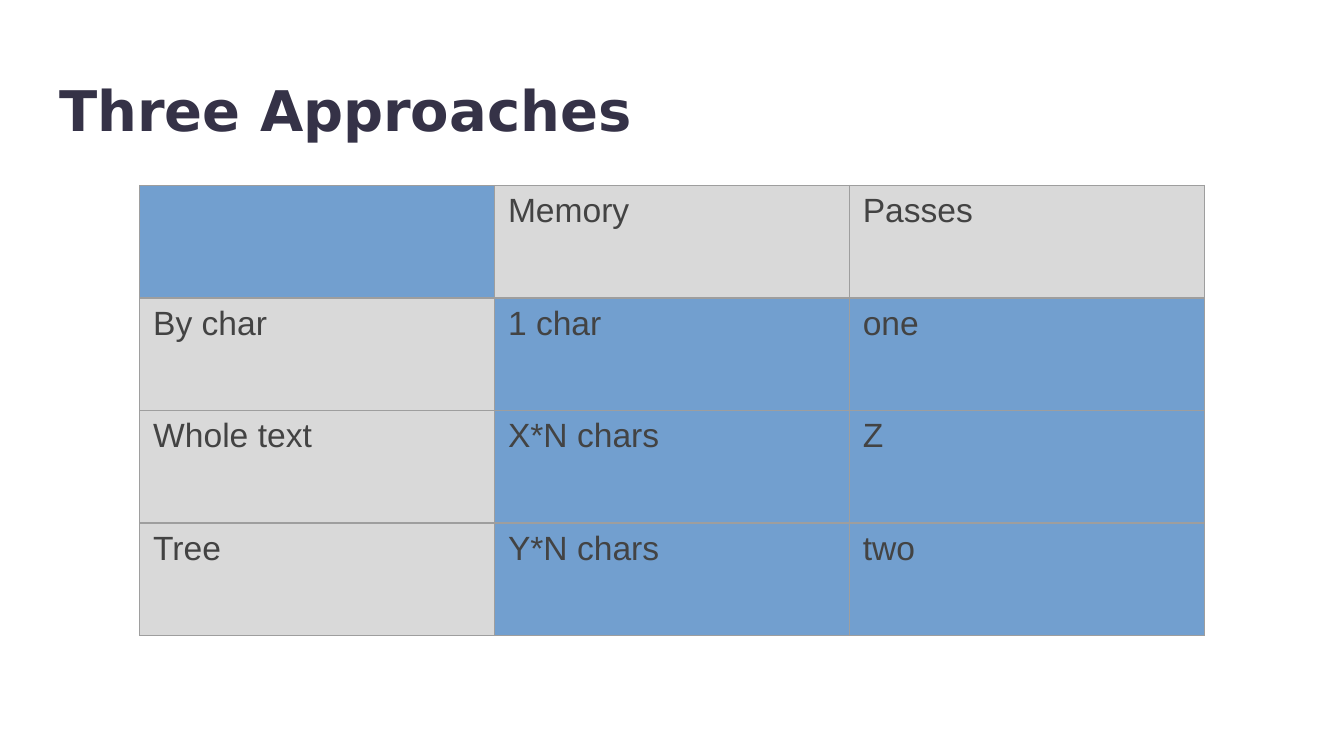
from dataclasses import dataclass

from lxml.etree import SubElement
from pptx import Presentation
from pptx.dml.color import RGBColor
from pptx.enum.text import MSO_ANCHOR, MSO_AUTO_SIZE, PP_ALIGN
from pptx.oxml.ns import qn
from pptx.util import Inches, Pt


@dataclass(frozen=True)
class Theme:
    """Colours, fonts and type sizes of the slide."""
    title_color: str = "353247"
    text_color: str = "434343"
    heading_fill: str = "D9D9D9"
    value_fill: str = "729FCF"
    border_color: str = "9E9E9E"
    title_font: str = "DejaVu Sans"
    body_font: str = "Arial"
    title_size: float = 30
    body_size: float = 18
    border_width: float = 0.74


THEME = Theme()
TITLE = "Three Approaches"
APPROACHES = [
    ["", "Memory", "Passes"],
    ["By char", "1 char", "one"],
    ["Whole text", "X*N chars", "Z"],
    ["Tree", "Y*N chars", "two"],
]


def add_run(paragraph, text, font_name, size, color, bold=False):
    """Append one formatted run to a paragraph."""
    run = paragraph.add_run()
    run.text = text
    run.font.name = font_name
    run.font.size = Pt(size)
    run.font.bold = bold
    run.font.color.rgb = RGBColor.from_string(color)


def set_title(slide, text):
    """Place and format the title placeholder."""
    title = slide.shapes.title
    title.left, title.top = Inches(0.34), Inches(0.46)
    title.width, title.height = Inches(9.32), Inches(0.63)
    frame = title.text_frame
    frame.word_wrap = True
    frame.auto_size = MSO_AUTO_SIZE.NONE
    frame.vertical_anchor = MSO_ANCHOR.TOP
    frame.margin_left = frame.margin_right = Inches(0.1)
    frame.margin_top = frame.margin_bottom = Inches(0.1)
    paragraph = frame.paragraphs[0]
    paragraph.alignment = PP_ALIGN.LEFT
    add_run(paragraph, text, THEME.title_font, THEME.title_size,
            THEME.title_color, bold=True)


def set_borders(cell):
    """Draw the same thin line on all four sides of a cell."""
    properties = cell._tc.get_or_add_tcPr()
    for position, side in enumerate(("lnL", "lnR", "lnT", "lnB")):
        line = SubElement(properties, qn(f"a:{side}"), w=str(Pt(THEME.border_width)))
        fill = SubElement(line, qn("a:solidFill"))
        SubElement(fill, qn("a:srgbClr"), val=THEME.border_color)
        properties.insert(position, line)


def format_cell(cell, text, fill_color):
    """Fill, outline and write one table cell."""
    cell.fill.solid()
    cell.fill.fore_color.rgb = RGBColor.from_string(fill_color)
    cell.margin_left = cell.margin_right = Inches(0.1)
    cell.margin_top = cell.margin_bottom = Inches(0.05)
    set_borders(cell)
    if text:
        add_run(cell.text_frame.paragraphs[0], text, THEME.body_font,
                THEME.body_size, THEME.text_color)


def add_comparison_table(slide, rows):
    """Add the table with grey headings and blue values."""
    frame = slide.shapes.add_table(len(rows), len(rows[0]), Inches(1.04),
                                   Inches(1.38), Inches(7.92), Inches(3.35))
    table = frame.table
    table.first_row = table.horz_banding = False
    for row_index, row in enumerate(rows):
        for column_index, text in enumerate(row):
            is_heading = (row_index == 0) != (column_index == 0)
            fill_color = THEME.heading_fill if is_heading else THEME.value_fill
            format_cell(table.cell(row_index, column_index), text, fill_color)


def main():
    """Build and save the widescreen slide."""
    presentation = Presentation()
    presentation.slide_width = Inches(10)
    presentation.slide_height = Inches(10) * 9 // 16
    slide = presentation.slides.add_slide(presentation.slide_layouts[5])
    set_title(slide, TITLE)
    add_comparison_table(slide, APPROACHES)
    presentation.save("out.pptx")


main()
